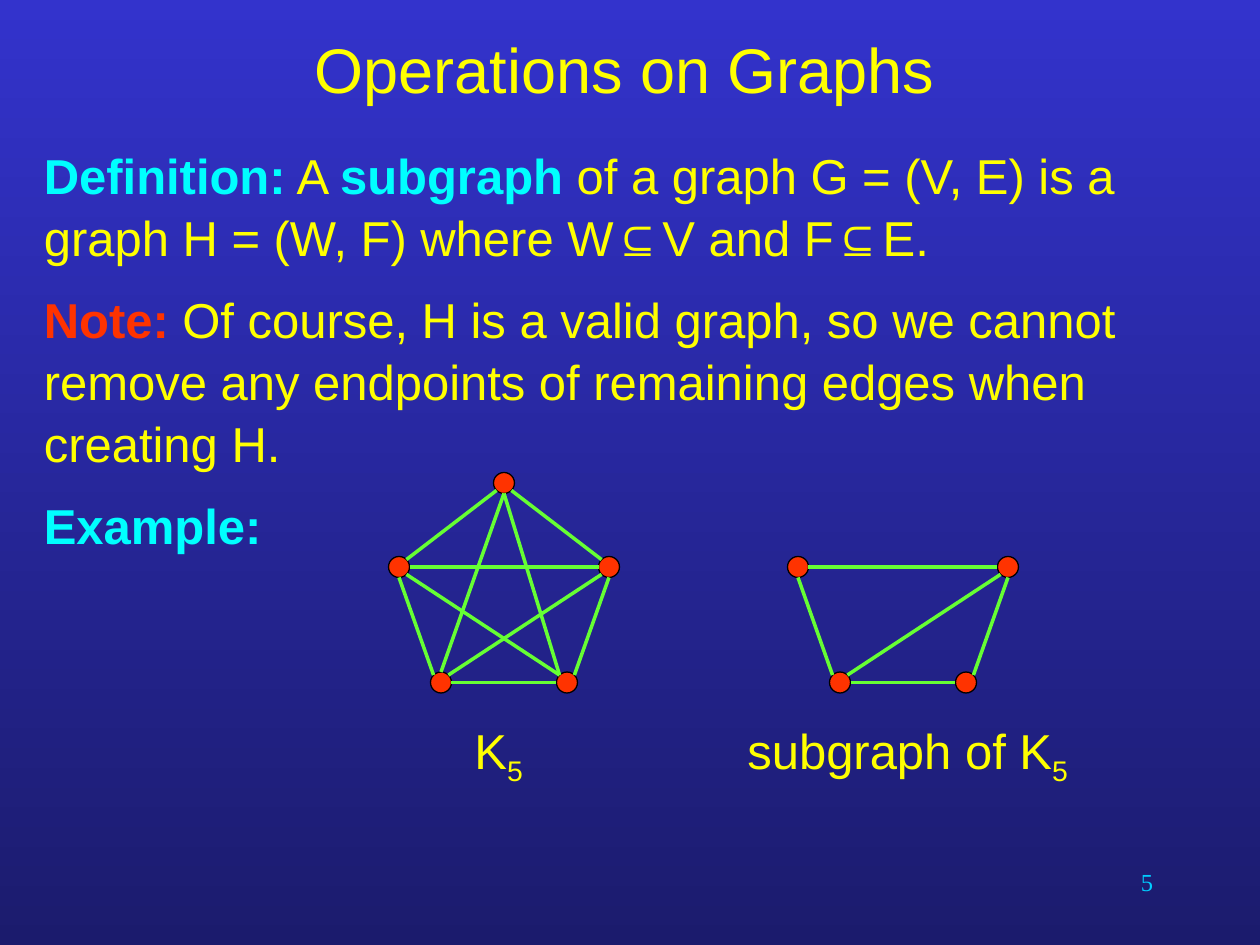
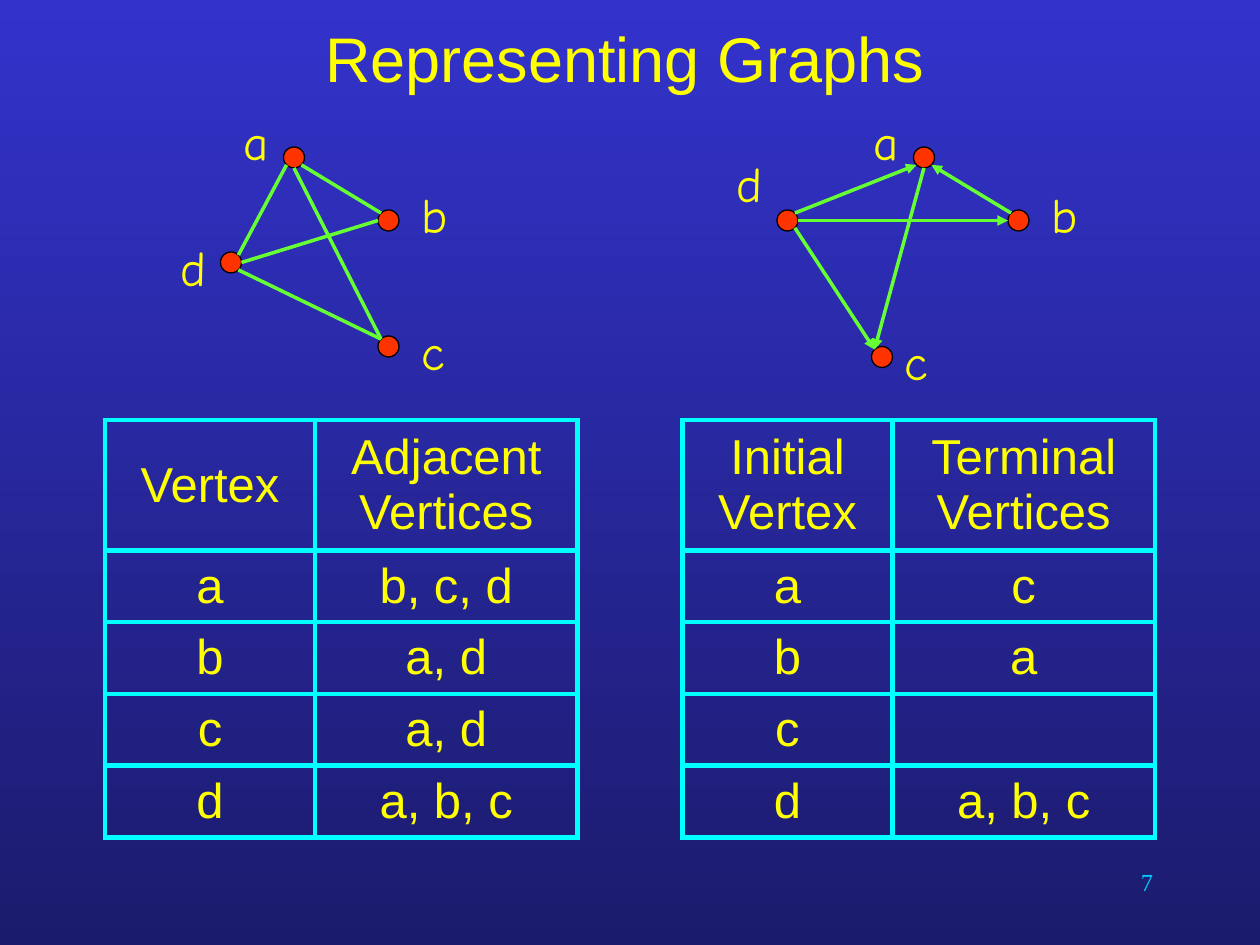
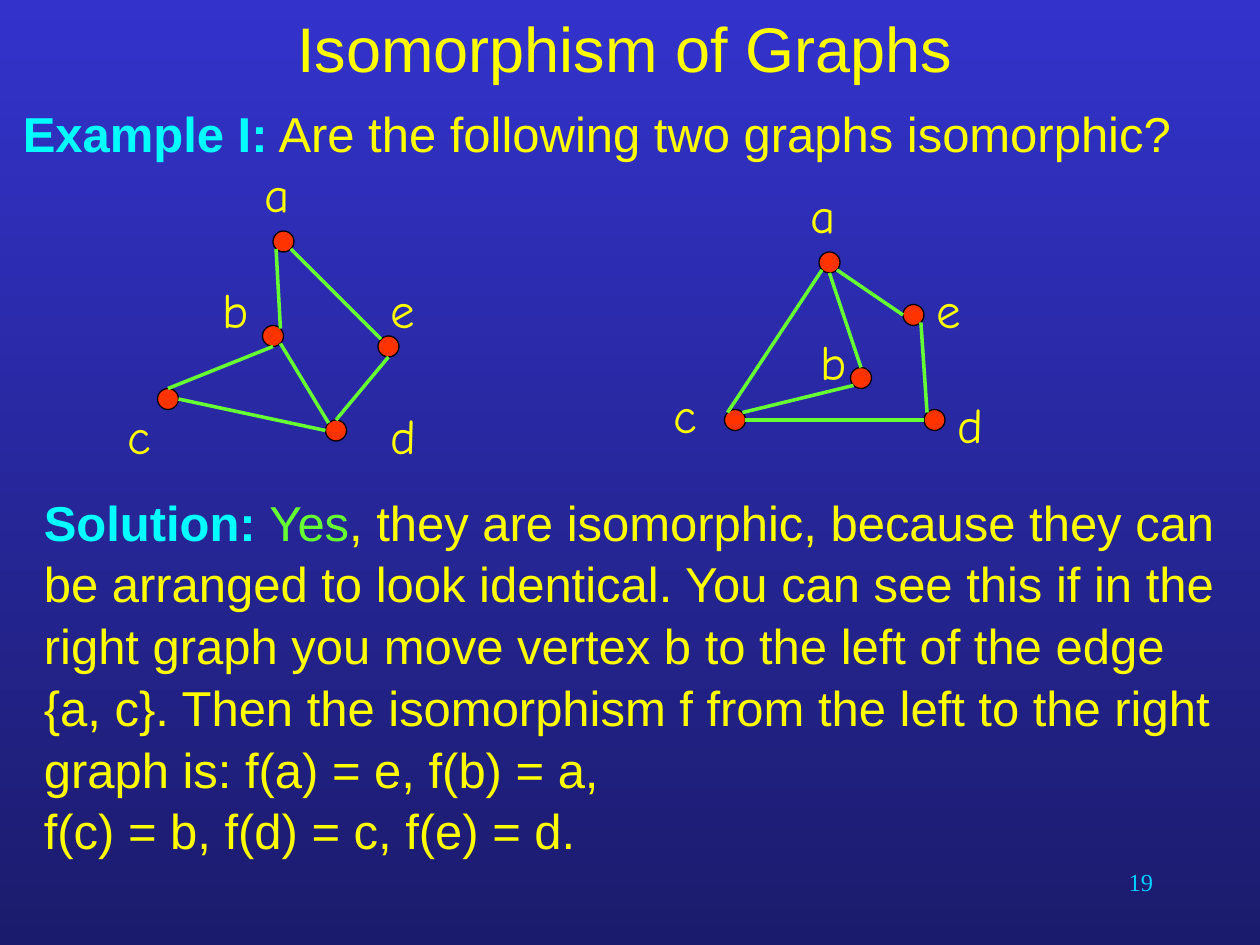
from lxml import etree
from pptx import Presentation
from pptx import util as u
from pptx.dml.color import RGBColor
from pptx.enum import shapes, text
from pptx.oxml.ns import qn

COLORS = {"top": "3333CC", "bottom": "1B1B6D", "text": "FFFF00", "term": "00FFFF",
          "vertex": "FF3300", "edge": "66FF33", "outline": "000000", "number": "00CCFF"}
RGB = {name: RGBColor.from_string(value) for name, value in COLORS.items()}

# Everything sits on a grid of twelfths of an inch; a vertex has a radius of one
GRID = u.Inches(1 / 12)
DIAGONAL = 0.5 ** 0.5
SITES = {"n": (0, -1), "s": (0, 1), "w": (-1, 0), "e": (1, 0),
         "nw": (-DIAGONAL, -DIAGONAL), "ne": (DIAGONAL, -DIAGONAL),
         "sw": (-DIAGONAL, DIAGONAL), "se": (DIAGONAL, DIAGONAL)}

# Text formats: font, paragraph and frame values
TITLE = {"font": {"name": "Arial", "size": u.Pt(36)},
         "para": {"alignment": text.PP_ALIGN.CENTER},
         "frame": {"vertical_anchor": text.MSO_ANCHOR.MIDDLE}}
BODY = {"font": {"name": "Arial", "size": u.Pt(28)},
        "para": {"space_before": u.Pt(5.8), "space_after": u.Pt(5.8), "line_spacing": 1.05}}
CAPTION = {"font": {"name": "Arial", "size": u.Pt(28)}, "para": {"space_before": u.Pt(14)}}
LABEL = {"font": {"name": "Comic Neue", "size": u.Pt(28)}, "para": {"space_before": u.Pt(14)}}
CELL = {"font": {"name": "Arial", "size": u.Pt(28)},
        "para": {"alignment": text.PP_ALIGN.CENTER}}
NUMBER = {"font": {"name": "Times New Roman", "size": u.Pt(14)},
          "para": {"alignment": text.PP_ALIGN.RIGHT}}


def write(frame, style, *paragraphs):
    """Fill a text frame; each paragraph is a list of (text, colour, extra) runs."""
    for key, value in {"word_wrap": True, **style.get("frame", {})}.items():
        setattr(frame, key, value)
    for i, runs in enumerate(paragraphs):
        para = frame.add_paragraph() if i else frame.paragraphs[0]
        for key, value in style["para"].items():
            setattr(para, key, value)
        for words, color, *extra in runs:
            for j, line in enumerate(words.split("\n")):
                if j:
                    para.add_line_break()
                run = para.add_run()
                run.text = line
                for key, value in {**style["font"], "bold": "bold" in extra}.items():
                    setattr(run.font, key, value)
                run.font.color.rgb = RGB[color]
                if "sub" in extra:
                    run._r.get_or_add_rPr().set("baseline", "-25000")


def draw_graph(slide, vertices, edges, labels=(), directed=False):
    """Draw one grouped graph; an edge 'a.s b.n' joins the south of a to the north of b."""
    parts = slide.shapes.add_group_shape().shapes
    for x, y in vertices.values():
        dot = parts.add_shape(shapes.MSO_SHAPE.FLOWCHART_CONNECTOR,
                              GRID * (x - 1), GRID * (y - 1), GRID * 2, GRID * 2)
        dot.shadow.inherit = False
        dot.fill.solid()
        dot.fill.fore_color.rgb = RGB["vertex"]
        dot.line.color.rgb = RGB["outline"]
        dot.line.width = u.Pt(0.75)
    for edge in edges.split(", "):
        ends = []
        for end in edge.split():
            name, site = end.split(".")
            ends += [int(GRID * (c + d)) for c, d in zip(vertices[name], SITES[site])]
        line = parts.add_connector(shapes.MSO_CONNECTOR.STRAIGHT, *ends)
        line.line.color.rgb = RGB["edge"]
        line.line.width = u.Pt(2)
        props = line._element.spPr
        if directed:
            etree.SubElement(props.find(qn("a:ln")), qn("a:tailEnd"), type="triangle")
        etree.SubElement(props, qn("a:effectLst"))
    for name, x, y, width in labels:
        box = parts.add_textbox(GRID * x, GRID * y, GRID * width, u.Inches(0.57))
        write(box.text_frame, LABEL, [(name, "text")])


prs = Presentation()
prs.slide_width, prs.slide_height = u.Inches(10), u.Inches(7.5)

# Shared background
backdrop = prs.slide_master.background.fill
backdrop.gradient()
backdrop.gradient_angle = 270
for stop, name, position in zip(backdrop.gradient_stops, ("top", "bottom"), (0, 1)):
    stop.color.rgb = RGB[name]
    stop.position = position

# Shared title and slide number
slides = []
for title, height, number in [("Operations on Graphs", 13, "5"),
                              ("Representing Graphs", 11, "7"),
                              ("Isomorphism of Graphs", 9, "19")]:
    slide = prs.slides.add_slide(prs.slide_layouts[6])
    for at, style, words, color in [((86, 82, 25, 6), NUMBER, number, "number"),
                                    ((3, 0, 113, height), TITLE, title, "text")]:
        box = slide.shapes.add_textbox(*[GRID * v for v in at])
        write(box.text_frame, style, [(words, color)])
    slides.append(slide)
operations, representing, isomorphism = slides

# Paragraphs and captions
for slide, at, style, paragraphs in [
    (operations, (3, 13, 115, 44), BODY, [
        [("Definition:", "term", "bold"), (" A ", "text"), ("subgraph", "term", "bold"),
         (" of a graph G = (V, E) is a graph H = (W, F) where W⊆V and F⊆E.", "text")],
        [("Note:", "vertex", "bold"),
         (" Of course, H is a valid graph, so we cannot remove any endpoints of "
          "remaining edges when creating H.", "text")],
        [("Example:", "term", "bold")]]),
    (operations, (44, 68, 8, 6.84), CAPTION, [[("K", "text"), ("5", "text", "sub")]]),
    (operations, (70, 68, 36, 6.84), CAPTION,
     [[("subgraph of K", "text"), ("5", "text", "sub")]]),
    (isomorphism, (1, 9, 119, 7), BODY, [
        [("Example I:", "term", "bold"),
         (" Are the following two graphs isomorphic?", "text")]]),
    (isomorphism, (3, 46, 115, 24), BODY, [
        [("Solution: ", "term", "bold"), ("Yes", "edge"),
         (", they are isomorphic, because they can be arranged to look identical. "
          "You can see this if in the right graph you move vertex b to the left of the "
          "edge {a, c}. Then the isomorphism f from the left to the right graph is: "
          "f(a) = e, f(b) = a,\nf(c) = b, f(d) = c, f(e) = d.", "text")]]),
]:
    box = slide.shapes.add_textbox(*[int(GRID * v) for v in at])
    write(box.text_frame, style, *paragraphs)

# Slide 1: K5 and its subgraph, which lacks the top vertex
k5 = {"top": (48, 46), "left": (38, 54), "right": (58, 54), "low1": (42, 65), "low2": (54, 65)}
subgraph = {name: (x + 38, y) for name, (x, y) in k5.items() if name != "top"}
kept_edges = ("left.s low1.nw, low1.e low2.w, low2.ne right.s, left.e right.w, "
              "low1.ne right.sw")
removed_edges = ("right.nw top.se, left.ne top.sw, top.s low1.n, top.s low2.nw, "
                 "left.se low2.nw")
draw_graph(operations, k5, f"{kept_edges}, {removed_edges}")
draw_graph(operations, subgraph, kept_edges)

# Slide 2: the same edges, undirected and directed
shared_edges = "b.nw a.se, d.ne a.sw, a.s c.nw, d.e b.w, d.se c.nw"
draw_graph(representing, {"a": (28, 15), "b": (37, 21), "c": (37, 33), "d": (22, 25)},
           shared_edges,
           [("a", 22, 10, 8), ("b", 39, 17, 8), ("c", 39, 30, 8), ("d", 16, 22, 8)])
draw_graph(representing, {"a": (88, 15), "b": (97, 21), "c": (84, 34), "d": (75, 21)},
           shared_edges,
           [("a", 82, 10, 8), ("b", 99, 17, 8), ("c", 85, 31, 8), ("d", 69, 14, 8)],
           directed=True)

# Slide 2: adjacency tables
for left, rows in [
    (10, [("Vertex", "Adjacent Vertices"), ("a", "b, c, d"), ("b", "a, d"),
          ("c", "a, d"), ("d", "a, b, c")]),
    (65, [("Initial Vertex", "Terminal Vertices"), ("a", "c"), ("b", "a"),
          ("c", ""), ("d", "a, b, c")]),
]:
    table = representing.shapes.add_table(len(rows), 2, GRID * left, GRID * 40,
                                          GRID * 45, u.Inches(3.3)).table
    table.first_row = table.horz_banding = False
    for column, width in zip(table.columns, (20, 25)):
        column.width = GRID * width
    for r, values in enumerate(rows):
        table.rows[r].height = u.Inches(0.57 if r else 1.03)
        for c, value in enumerate(values):
            cell = table.cell(r, c)
            cell.vertical_anchor = text.MSO_ANCHOR.MIDDLE
            if value:
                write(cell.text_frame, CELL, [(value, "text")])
            props = cell._tc.get_or_add_tcPr()
            for side in ("a:lnL", "a:lnR", "a:lnT", "a:lnB"):
                border = etree.SubElement(props, qn(side), w=str(u.Pt(3)))
                paint = etree.SubElement(border, qn("a:solidFill"))
                etree.SubElement(paint, qn("a:srgbClr"), val=COLORS["term"])
            cell.fill.background()

# Slide 3: two isomorphic graphs
draw_graph(isomorphism,
           {"a": (27, 23), "b": (26, 32), "c": (16, 38), "d": (32, 41), "e": (37, 33)},
           "d.n e.s, d.w c.e, c.n b.s, b.ne a.sw, a.se e.nw, b.se d.nw",
           [("a", 24, 15, 8), ("b", 20, 26, 4), ("c", 11, 38, 5), ("d", 36, 38, 8),
            ("e", 36, 26, 8)])
draw_graph(isomorphism,
           {"a": (79, 25), "b": (82, 36), "c": (70, 40), "d": (89, 40), "e": (87, 30)},
           "c.e d.w, c.ne b.sw, b.n a.s, a.se e.w, e.se d.nw, a.sw c.nw",
           [("a", 76, 17, 8), ("b", 77, 31, 4), ("c", 63, 36, 5), ("d", 90, 37, 8),
            ("e", 88, 26, 8)])

prs.save("out.pptx")
